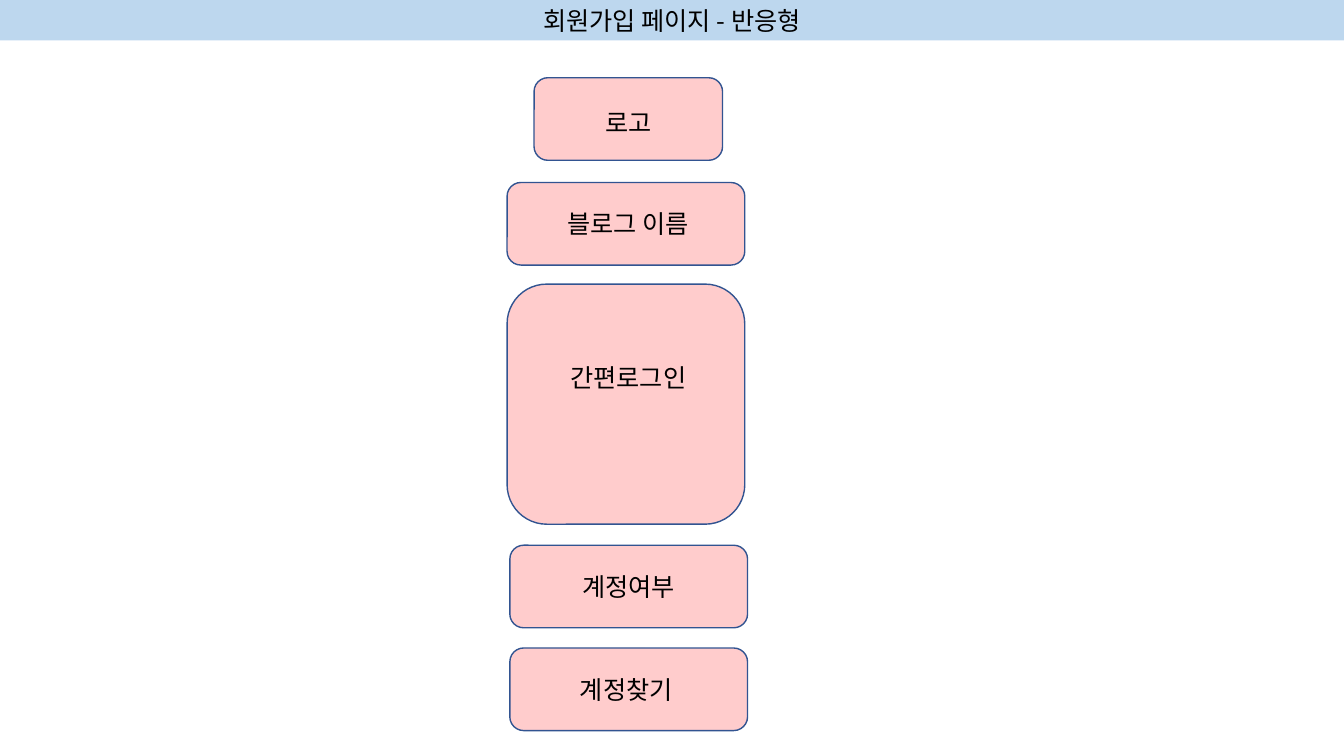
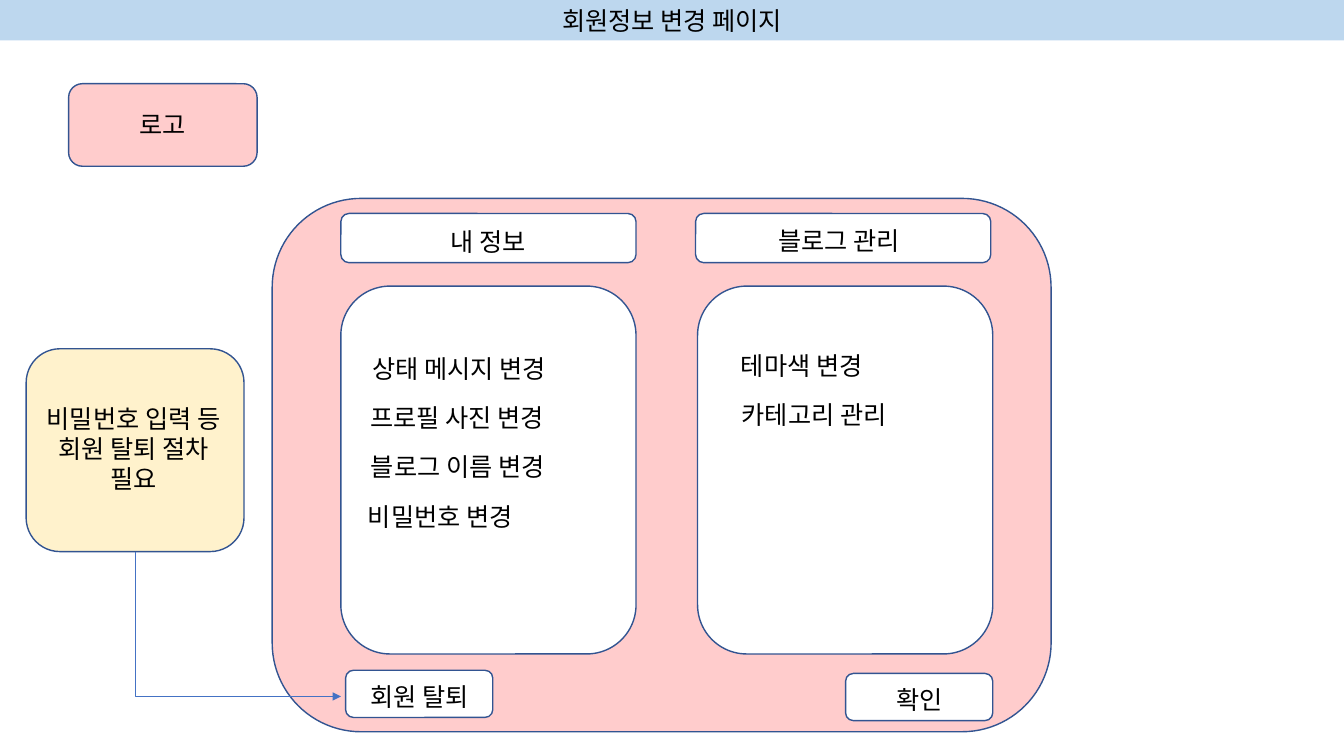
from pptx import Presentation
from pptx.dml.color import RGBColor
from pptx.enum.shapes import MSO_CONNECTOR, MSO_SHAPE
from pptx.enum.text import PP_ALIGN
from pptx.oxml.ns import qn
from pptx.util import Cm, Pt
from lxml import etree

RECT, ROUND = MSO_SHAPE.RECTANGLE, MSO_SHAPE.ROUNDED_RECTANGLE
ELBOW, CENTER = MSO_CONNECTOR.ELBOW, PP_ALIGN.CENTER

COLORS = {"band": "BDD7EE", "block": "FFCCCC", "card": "FFFFFF", "note": "FFF2CC",
          "outline": "325491", "arrow": "4472C4", "text": "000000"}
FONT = "Noto Sans CJK KR"
SLIDE_W, SLIDE_H = 33.87, 19.05
LINE_H = 1.02        # height of a one-line label
LABEL_INSET = 1.14   # how much narrower a label is than its box
LOGO = (4.75, 2.08)
ROW = (5.99, 2.08)


def rgb(name):
    return RGBColor.from_string(COLORS[name])


# Shared parts
def write(sp, text, size=18, color="text", align=CENTER):
    tf = sp.text_frame
    tf.word_wrap = True
    p = tf.paragraphs[0]
    p.alignment = align
    r = p.add_run()
    r.text = text
    r.font.size = Pt(size)
    r.font.name = FONT
    r.font.color.rgb = rgb(color)
    etree.SubElement(r.font._element, qn("a:ea"), typeface=FONT)


def add_label(s, x, y, w, text, h=LINE_H):
    write(s.shapes.add_textbox(Cm(x), Cm(y), Cm(w), Cm(h)), text)


def add_box(s, x, y, w, h, fill="block", kind=ROUND, line="outline"):
    sp = s.shapes.add_shape(kind, Cm(x), Cm(y), Cm(w), Cm(h))
    sp.shadow.inherit = False
    sp.fill.solid()
    sp.fill.fore_color.rgb = rgb(fill)
    if line:
        sp.line.color.rgb = rgb(line)
        sp.line.width = Pt(1)
    else:
        sp.line.fill.background()
    return sp


def labelled_box(s, x, y, w, h, text, fill="block", dx=0, dy=0, label_w=None, label_h=LINE_H):
    """Box with a centred label, which dx and dy shift."""
    add_box(s, x, y, w, h, fill)
    label_w = label_w or w - LABEL_INSET
    add_label(s, x + (w - label_w) / 2 + dx, y + (h - label_h) / 2 + dy, label_w, text, label_h)


def add_logo(s, x, y, dy=0):
    labelled_box(s, x, y, *LOGO, "로고", dy=dy, label_w=3.43)


def new_slide(prs, title):
    s = prs.slides.add_slide(prs.slide_layouts[6])
    write(add_box(s, 0, 0, SLIDE_W, LINE_H, "band", RECT, line=None), title)
    return s


def elbow_arrow(s, x1, y1, x2, y2):
    """Arrow that runs down from the start, then right to the end."""
    half_w, half_h = (y2 - y1) / 2, (x2 - x1) / 2   # swapped by the quarter turn
    cx, cy = (x1 + x2) / 2, (y1 + y2) / 2
    c = s.shapes.add_connector(ELBOW, Cm(cx + half_w), Cm(cy - half_h),
                               Cm(cx - half_w), Cm(cy + half_h))
    c.line.color.rgb = rgb("arrow")
    c.line.width = Pt(0.5)
    pr = c._element.spPr
    pr.find(qn("a:xfrm")).set("rot", str(270 * 60000))
    pr.find(qn("a:prstGeom")).set("prst", "bentConnector2")
    etree.SubElement(pr.find(qn("a:ln")), qn("a:tailEnd"), type="triangle")
    etree.SubElement(pr, qn("a:effectLst"))


# Sign-up page
def signup_column(s, x, y):
    add_logo(s, x + 0.68, y, dy=0.08)
    labelled_box(s, x, y + 2.64, *ROW, "블로그 이름", dx=0.06)
    labelled_box(s, x, y + 5.2, ROW[0], 6.05, "간편로그인", dx=0.06, dy=-0.66)
    labelled_box(s, x + 0.07, y + 11.78, *ROW, "계정여부")
    labelled_box(s, x + 0.07, y + 14.37, *ROW, "계정찾기", dx=-0.06)


# Account settings page
def settings_card(s, x, y, w, h, items, first):
    add_box(s, x, y, w, h, "card")
    for i, (text, dx, label_w) in enumerate(items):
        add_label(s, x + dx, y + first + i * 1.24, label_w, text)


def settings_panel(s, x, y, w, h):
    add_box(s, x, y, w, h)
    left, right = x + 1.73, x + 10.72
    card_w, head_h, button = 7.44, 1.24, (3.71, 1.19)
    labelled_box(s, left, y + 0.38, card_w, head_h, "내 정보", "card", dy=0.09)
    labelled_box(s, right - 0.05, y + 0.38, card_w, head_h, "블로그 관리", "card", dx=-0.1, dy=0.06)
    settings_card(s, left, y + 2.21, card_w, 9.27,
                  [("상태 메시지 변경", 0.13, 5.69), ("프로필 사진 변경", 0.08, 5.69),
                   ("블로그 이름 변경", 0.1, 5.69), ("비밀번호 변경", 0.08, 4.85)], 1.57)
    settings_card(s, right, y + 2.21, card_w, 9.27,
                  [("테마색 변경", 0.2, 4.85), ("카테고리 관리", 0.51, 4.85)], 1.5)
    labelled_box(s, left + 0.12, y + 11.89, *button, "회원 탈퇴", "card", dy=0.06, label_w=3.38)
    labelled_box(s, right + card_w - button[0], y + 11.97, *button, "확인", "card",
                 dy=0.06, label_w=button[0])


def withdrawal_note(s, x, y, w, h, target):
    labelled_box(s, x, y, w, h, "비밀번호 입력 등 회원 탈퇴 절차 필요", "note",
                 dx=-0.04, dy=-0.03, label_w=5.41, label_h=2.57)
    elbow_arrow(s, x + w / 2, y + h, *target)


prs = Presentation()
prs.slide_width, prs.slide_height = Cm(SLIDE_W), Cm(SLIDE_H)

s = new_slide(prs, "회원가입 페이지 - 반응형")
signup_column(s, 12.78, 1.96)

s = new_slide(prs, "회원정보 변경 페이지")
add_logo(s, 1.73, 2.11)
settings_panel(s, 6.86, 5, 19.63, 13.44)
withdrawal_note(s, 0.66, 8.79, 5.49, 5.11, target=(8.59, 17.55))

prs.save("out.pptx")
